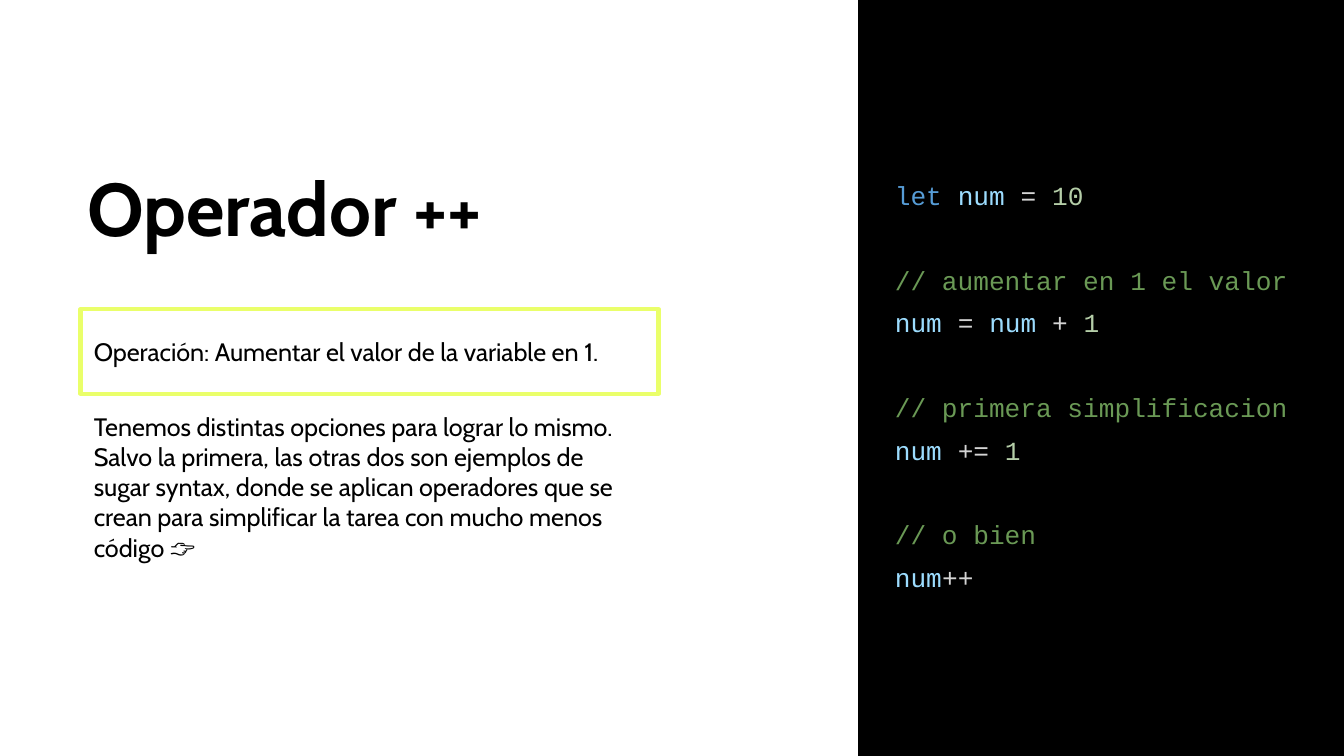
from pptx import Presentation
from pptx.dml.color import RGBColor
from pptx.enum.shapes import MSO_SHAPE
from pptx.enum.text import MSO_ANCHOR, MSO_AUTO_SIZE, PP_ALIGN
from pptx.util import Inches, Pt

RECTANGLE = MSO_SHAPE.RECTANGLE
TOP = MSO_ANCHOR.TOP
GROW = MSO_AUTO_SIZE.SHAPE_TO_FIT_TEXT
LEFT = PP_ALIGN.LEFT

# Page measures in inches, 16:9
PAGE_WIDTH = 10
PAGE_HEIGHT = PAGE_WIDTH * 9 / 16
PANEL_LEFT = 6.39

# Content
TITLE = "Operador ++"
OPERATION = "Operación: Aumentar el valor de la variable en 1."
EXPLANATION = (
    "Tenemos distintas opciones para lograr lo mismo. Salvo la primera, "
    "las otras dos son ejemplos de sugar syntax, donde se aplican operadores "
    "que se crean para simplificar la tarea con mucho menos código 👉"
)
SYNTAX = {
    "keyword": "569CD6",
    "name": "9CDCFE",
    "operator": "D4D4D4",
    "number": "B5CEA8",
    "comment": "6A9955",
}
CODE_BLOCKS = [
    [[("keyword", "let "), ("name", "num"), ("operator", " = "), ("number", "10")]],
    [[("comment", "// aumentar en 1 el valor")],
     [("name", "num"), ("operator", " = "), ("name", "num"),
      ("operator", " + "), ("number", "1")]],
    [[("comment", "// primera simplificacion")],
     [("name", "num"), ("operator", " += "), ("number", "1")]],
    [[("comment", "// o bien")],
     [("name", "num"), ("operator", "++")]],
]
BLOCK_GAP = Pt(22.5)  # one code line


def color(value):
    return RGBColor.from_string(value)


def place(box, left, top, width, height):
    box.left, box.top = Inches(left), Inches(top)
    box.width, box.height = Inches(width), Inches(height)


def set_frame(box):
    frame = box.text_frame
    frame.word_wrap = True
    frame.auto_size = GROW
    frame.vertical_anchor = TOP
    frame.margin_left = frame.margin_right = Inches(0.1)
    frame.margin_top = frame.margin_bottom = Inches(0.1)
    return frame


def set_font(para, name, size, bold=False):
    para.alignment = LEFT
    para.font.name = name
    para.font.size = Pt(size)
    para.font.bold = bold


def add_rectangle(page, area, line, line_width, fill=None):
    shape = page.shapes.add_shape(RECTANGLE, *map(Inches, area))
    shape.shadow.inherit = False
    if fill:
        shape.fill.solid()
        shape.fill.fore_color.rgb = color(fill)
    else:
        shape.fill.background()
    shape.line.color.rgb = color(line)
    shape.line.width = Pt(line_width)


def add_body(page, text, area):
    frame = set_frame(page.shapes.add_textbox(*map(Inches, area)))
    para = frame.paragraphs[0]
    para.text = text
    set_font(para, "Cabin", 13.5)
    para.font.color.rgb = color("000000")


deck = Presentation()
deck.slide_width, deck.slide_height = Inches(PAGE_WIDTH), Inches(PAGE_HEIGHT)
page = deck.slides.add_slide(deck.slide_layouts[5])

# Dark code panel
panel_area = (PANEL_LEFT, 0, PAGE_WIDTH - PANEL_LEFT, PAGE_HEIGHT)
add_rectangle(page, panel_area, "000000", 0.75, fill="000000")

# Title
title = page.shapes.title
place(title, 0.55, 1.18, 5.45, 0.81)
heading = set_frame(title).paragraphs[0]
heading.text = TITLE
heading.line_spacing = 0.9
set_font(heading, "Cabin", 40, bold=True)
heading.font.color.rgb = color("000000")

# Explanation with highlighted operation
add_body(page, OPERATION, (0.6, 2.4, 5.45, 0.43))
add_rectangle(page, (0.6, 2.3, 4.3, 0.63), "EAFF6A", 2.25)
add_body(page, EXPLANATION, (0.6, 2.96, 4.3, 1.34))

# Code listing
code_box = page.shapes.add_textbox(*map(Inches, (6.56, 1.15, 3.28, 3.32)))
code_frame = set_frame(code_box)
for block_index, block in enumerate(CODE_BLOCKS):
    for line_index, spans in enumerate(block):
        first = block_index == line_index == 0
        para = code_frame.paragraphs[0] if first else code_frame.add_paragraph()
        para.line_spacing = 1.36
        if block_index and line_index == 0:
            para.space_before = BLOCK_GAP
        set_font(para, "Courier New", 14)
        for kind, text in spans:
            span = para.add_run()
            span.text = text
            span.font.color.rgb = color(SYNTAX[kind])

deck.save("out.pptx")
